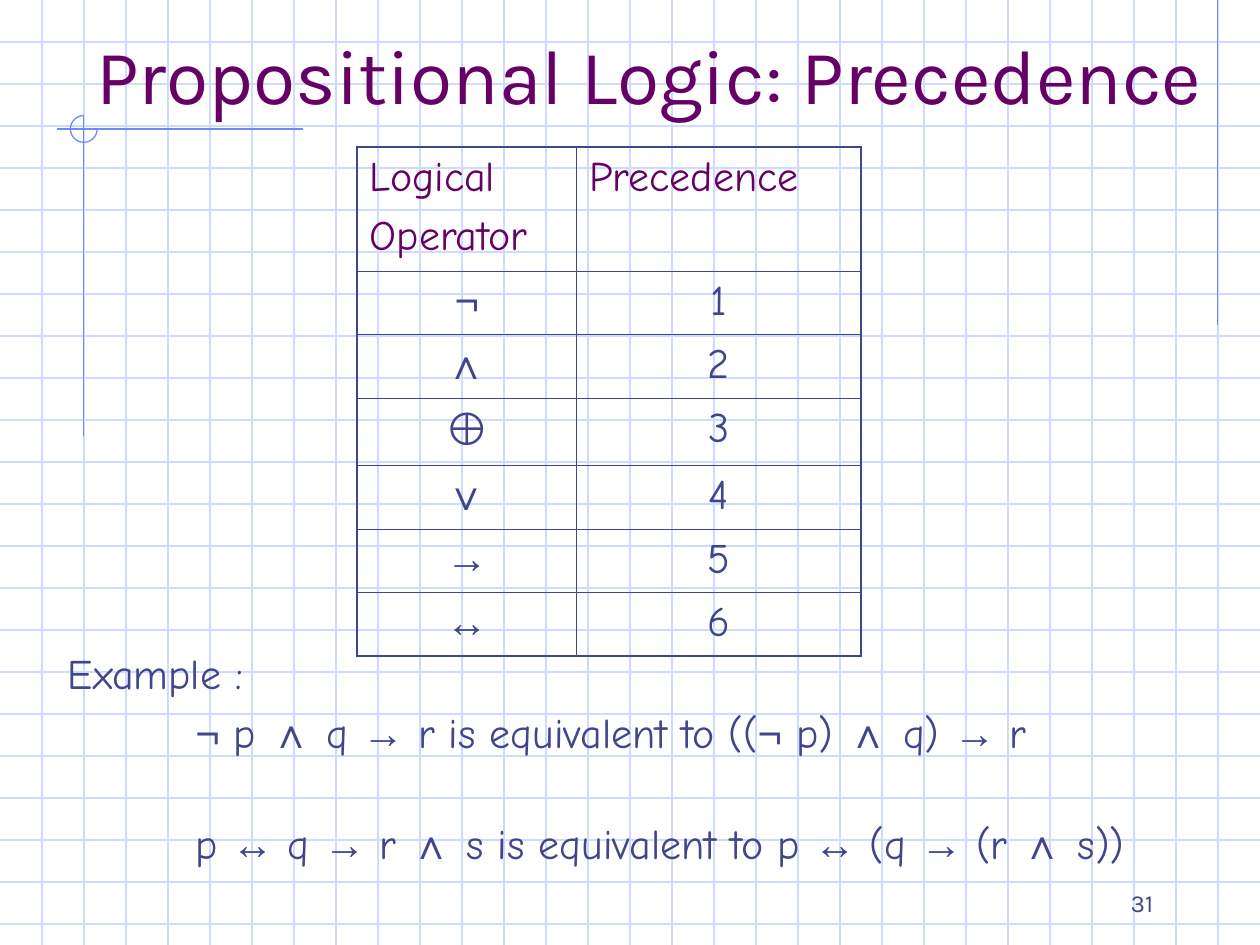
from itertools import groupby
from lxml import etree
from pptx import Presentation, util as u
from pptx.dml.color import RGBColor
from pptx.enum import shapes, text
from pptx.oxml import ns

INK = {"grid": "CFDBFD", "trim": "6F89F7", "body": "40458C", "head": "660066"}
SIGNS = "¬∧⊕∨→↔"
ALIGN = text.PP_ALIGN

deck = Presentation()
deck.slide_width, deck.slide_height = u.Cm(25.4), u.Cm(19.05)
slide = deck.slides.add_slide(deck.slide_layouts[6])


def rule(x1, y1, x2, y2, ink):
    """Draw a thin straight line between two points given in cm."""
    line = slide.shapes.add_connector(
        shapes.MSO_CONNECTOR.STRAIGHT, u.Cm(x1), u.Cm(y1), u.Cm(x2), u.Cm(y2))
    line.line.color.rgb = RGBColor.from_string(INK[ink])
    line.line.width = u.Pt(0.75)
    etree.SubElement(line._element.spPr, ns.qn("a:effectLst"))


def write(par, words, ink="body", size=24, face="Comic Neue"):
    """Fill a paragraph, with the logic signs in Arial."""
    for sign, part in groupby(words, lambda c: c in SIGNS):
        run = par.add_run()
        run.text = "".join(part)
        run.font.name = "Arial" if sign else face
        run.font.size = u.Pt(size)
        run.font.color.rgb = RGBColor.from_string(INK[ink])


# Squared paper
step = 2.54 / 3
for i in range(1, 23):
    rule(0, i * step, 25.4, i * step, "grid")
for i in range(1, 30):
    rule(i * step, 0, i * step, 19.05, "grid")

# Trim lines and ring
rule(24.55, 0, 24.55, 6.55, "trim")
rule(6.1, 2.6, 1.15, 2.6, "trim")
rule(1.69, 2.33, 1.69, 8.78, "trim")
ring = slide.shapes.add_shape(
    shapes.MSO_SHAPE.ARC, u.Cm(1.42), u.Cm(2.33), u.Cm(0.54), u.Cm(0.54))
ring.shadow.inherit = False
ring.adjustments[0] = 0
ring.adjustments[1] = 270 * 0.6  # degrees, in the units of the arc
ring.fill.background()
ring.line.color.rgb = RGBColor.from_string(INK["trim"])
ring.line.width = u.Pt(0.75)

# Page number and title
for words, box, ink, size, side in (
        ("31", (18.2, 17.98, 5.3, 0.64), "body", 14, ALIGN.RIGHT),
        ("Propositional Logic: Precedence", (1.69, 0.85, 23.7, 1.69),
         "head", 44, ALIGN.LEFT)):
    frame = slide.shapes.add_textbox(*map(u.Cm, box)).text_frame
    frame.word_wrap = True
    frame.vertical_anchor = text.MSO_ANCHOR.BOTTOM
    frame.paragraphs[0].alignment = side
    write(frame.paragraphs[0], words, ink, size, "Karla")

# Examples: wording, indent in cm, space before in points
lines = (
    ("Example :", 0.27, 0),
    ("¬ p ∧ q → r is equivalent to ((¬ p) ∧ q) → r", 2.84, 5),
    ("p ↔ q → r ∧ s is equivalent to p ↔ (q → (r ∧ s))", 2.84, 35),
)
frame = slide.shapes.add_textbox(
    u.Cm(0.85), u.Cm(12.92), u.Cm(24.55), u.Cm(5.94)).text_frame
frame.word_wrap = True
for i, (words, dent, gap) in enumerate(lines):
    par = frame.add_paragraph() if i else frame.paragraphs[0]
    if gap:
        par.space_before = u.Pt(gap)
    props = par._p.get_or_add_pPr()
    props.set("marL", str(u.Cm(dent)))
    props.set("indent", "0")
    write(par, words)

# Precedence table
rows = [("Logical\nOperator", "Precedence")]
rows += [(sign, str(i)) for i, sign in enumerate(SIGNS, 1)]
wide, tall = (4.42, 5.74), (2.5, 1.28, 1.28, 1.36, 1.28, 1.28, 1.28)
table = slide.shapes.add_table(
    len(rows), 2, u.Cm(7.2), u.Cm(2.97), u.Cm(sum(wide)), u.Cm(sum(tall))).table
table.first_row = table.horz_banding = False
for col, size in zip(table.columns, wide):
    col.width = u.Cm(size)
for row, size in zip(table.rows, tall):
    row.height = u.Cm(size)

for r, row in enumerate(rows):
    for c, words in enumerate(row):
        cell = table.cell(r, c)
        frame = cell.text_frame
        for i, part in enumerate(words.split("\n")):
            par = frame.add_paragraph() if i else frame.paragraphs[0]
            if i:
                par.space_before = u.Pt(6)
            par.alignment = ALIGN.CENTER if r else ALIGN.LEFT
            write(par, part, "body" if r else "head", 26 if part == "⊕" else 24)
        props = cell._tc.get_or_add_tcPr()
        outer = {"L": c == 0, "R": c == 1, "T": r == 0, "B": r == len(rows) - 1}
        for side, edge in outer.items():
            line = etree.SubElement(props, ns.qn("a:ln" + side),
                                    w=str(u.Pt(1.08 if edge else 0.45)))
            fill = etree.SubElement(line, ns.qn("a:solidFill"))
            etree.SubElement(fill, ns.qn("a:srgbClr"), val=INK["body"])
        cell.fill.background()

deck.save("out.pptx")
